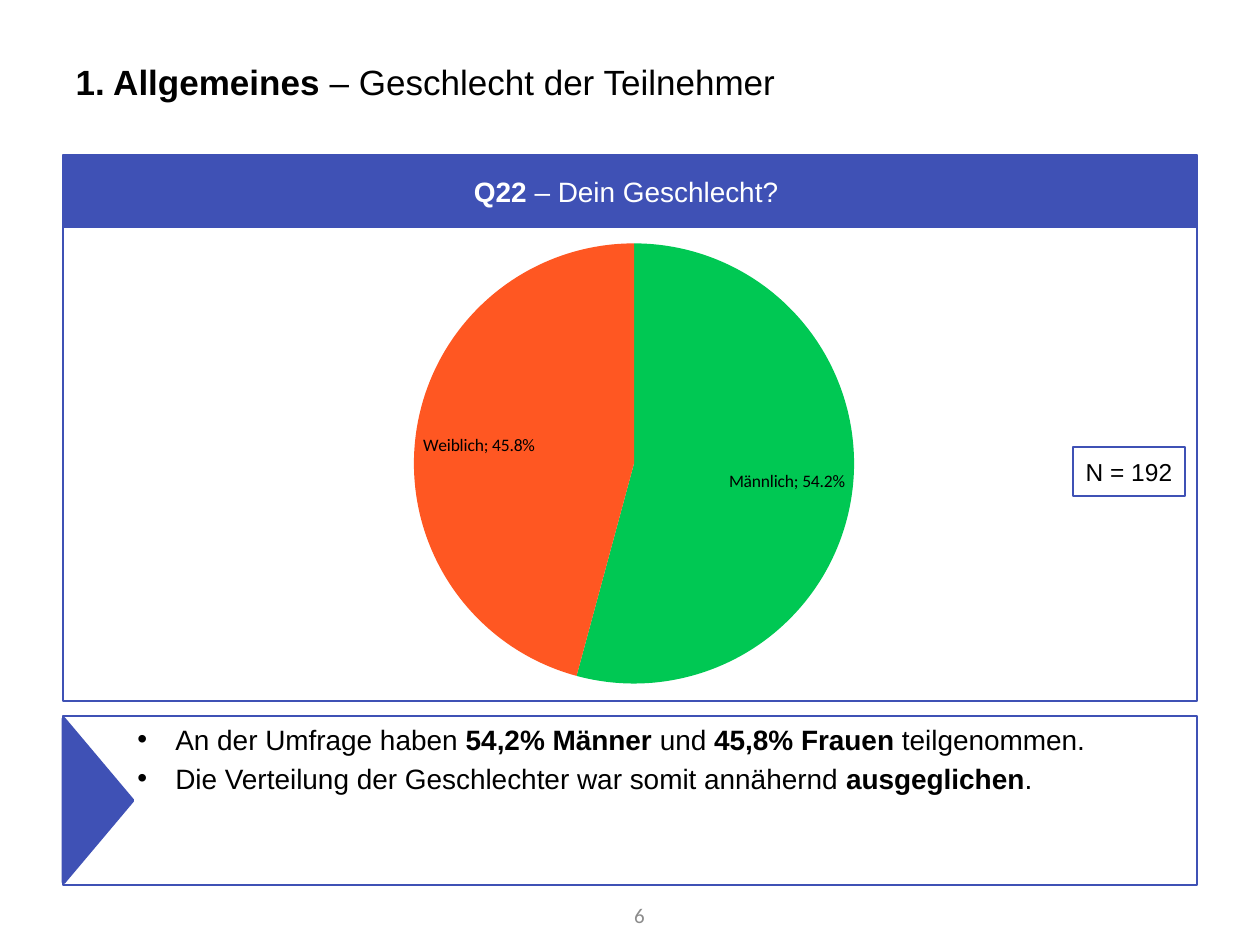
"""Build the survey slide on the gender of the participants."""
from dataclasses import dataclass
from typing import Optional

import lxml.etree
import pptx
import pptx.chart.data
import pptx.dml.color
import pptx.enum.chart
import pptx.enum.shapes
import pptx.enum.text
import pptx.oxml.ns
import pptx.util

EMU_PER_PX = 914400 / 126
BLUE = "3F51B5"
ALIGN = pptx.enum.text.PP_ALIGN
ANCHOR = pptx.enum.text.MSO_ANCHOR
SHAPE = pptx.enum.shapes.MSO_SHAPE


@dataclass(frozen=True)
class Box:
    """Position and size in px."""
    left: int
    top: int
    width: int
    height: int

    def emu(self) -> tuple:
        """Return the four lengths in EMU."""
        return tuple(px(v) for v in (self.left, self.top, self.width, self.height))


@dataclass(frozen=True)
class Panel:
    """A framed shape of the slide."""
    box: Box
    kind: int = SHAPE.RECTANGLE
    fill: Optional[str] = None
    line_width: int = 1
    rotation: int = 0


@dataclass(frozen=True)
class Answer:
    """One answer of the survey question."""
    label: str
    share: float
    color: str


def px(length: int) -> int:
    """Turn px into EMU."""
    return round(length * EMU_PER_PX)


def rgb(code: str) -> pptx.dml.color.RGBColor:
    """Turn a hex string into a colour."""
    return pptx.dml.color.RGBColor.from_string(code)


def add_bullet(paragraph, margin: int, hanging: int) -> None:
    """Give a paragraph a round bullet and a hanging indent."""
    properties = paragraph._p.get_or_add_pPr()
    properties.set("marL", str(px(margin)))
    properties.set("indent", str(-px(hanging)))
    font = lxml.etree.SubElement(properties, pptx.oxml.ns.qn("a:buFont"))
    font.set("typeface", "Arial")
    bullet = lxml.etree.SubElement(properties, pptx.oxml.ns.qn("a:buChar"))
    bullet.set("char", "•")


def write(shape, text: str, *, size: int, color: str = "000000", font: str = "Arial",
          align=ALIGN.LEFT, anchor=ANCHOR.MIDDLE, bullets: bool = False,
          wrap: bool = True) -> None:
    """Write lines of text in which ** switches bold on and off."""
    frame = shape.text_frame
    frame.word_wrap = wrap
    frame.vertical_anchor = anchor
    for index, line in enumerate(text.split("\n")):
        paragraph = frame.paragraphs[0] if index == 0 else frame.add_paragraph()
        paragraph.alignment = align
        if bullets:
            paragraph.space_before = pptx.util.Pt(size * 0.2)
            add_bullet(paragraph, margin=100, hanging=38)
        for part_index, part in enumerate(line.split("**")):
            if part:
                run = paragraph.add_run()
                run.text = part
                run.font.name = font
                run.font.size = pptx.util.Pt(size)
                run.font.bold = part_index % 2 == 1
                run.font.color.rgb = rgb(color)


def add_panel(slide, panel: Panel):
    """Draw a panel with a blue outline."""
    shape = slide.shapes.add_shape(panel.kind, *panel.box.emu())
    shape.shadow.inherit = False
    shape.rotation = panel.rotation
    shape.line.color.rgb = rgb(BLUE)
    shape.line.width = pptx.util.Pt(panel.line_width)
    if panel.fill:
        shape.fill.solid()
        shape.fill.fore_color.rgb = rgb(panel.fill)
    else:
        shape.fill.background()
    return shape


def add_pie(slide, box: Box, answers: list[Answer]) -> None:
    """Draw the answers as a labelled pie."""
    data = pptx.chart.data.CategoryChartData(number_format="0.0%")
    data.categories = [answer.label for answer in answers]
    data.add_series("Series 1", [answer.share for answer in answers])
    chart = slide.shapes.add_chart(
        pptx.enum.chart.XL_CHART_TYPE.PIE, *box.emu(), data).chart
    chart.has_legend = False
    chart.has_title = False
    chart.font.name = "Calibri"
    chart.font.size = pptx.util.Pt(10)
    chart.font.color.rgb = rgb("000000")
    plot = chart.plots[0]
    plot.vary_by_categories = True
    for index, answer in enumerate(answers):
        slice_format = plot.series[0].points[index].format
        slice_format.fill.solid()
        slice_format.fill.fore_color.rgb = rgb(answer.color)
        slice_format.line.fill.background()
    plot.has_data_labels = True
    labels = plot.data_labels
    labels.show_category_name = True
    labels.show_value = True
    labels.show_percentage = False
    labels.number_format = "0.0%"
    labels.number_format_is_linked = False
    labels.position = pptx.enum.chart.XL_LABEL_POSITION.INSIDE_END


def main() -> None:
    """Build and save the slide."""
    deck = pptx.Presentation()
    deck.slide_width, deck.slide_height = px(1260), px(945)
    slide = deck.slides.add_slide(deck.slide_layouts[5])

    title = slide.shapes.title
    title.left, title.top, title.width, title.height = Box(63, 38, 1134, 87).emu()
    write(title, "**1. Allgemeines **– Geschlecht der Teilnehmer", size=20)

    findings = add_panel(slide, Panel(Box(63, 716, 1134, 169)))
    write(findings,
          "An der Umfrage haben **54,2% Männer **und **45,8% Frauen **teilgenommen.\n"
          "Die Verteilung der Geschlechter war somit annähernd **ausgeglichen**.",
          size=16, anchor=ANCHOR.TOP, bullets=True)
    add_panel(slide, Panel(Box(16, 766, 164, 69), SHAPE.ISOSCELES_TRIANGLE,
                           fill=BLUE, line_width=2, rotation=90))

    add_panel(slide, Panel(Box(63, 155, 1134, 546)))
    question = add_panel(slide, Panel(Box(64, 156, 1132, 70), fill=BLUE, line_width=2))
    write(question, "**Q22 **– Dein Geschlecht? ", size=16, color="FFFFFF",
          align=ALIGN.CENTER)
    add_pie(slide, Box(194, 226, 880, 475), [
        Answer("Männlich", 0.542, "00C853"),
        Answer("Weiblich", 0.458, "FF5722"),
    ])
    sample_size = add_panel(slide, Panel(Box(1073, 447, 112, 49)))
    write(sample_size, "N = 192", size=14, align=ALIGN.CENTER, wrap=False)

    page_number = slide.shapes.add_textbox(*Box(578, 890, 79, 50).emu())
    write(page_number, "6", size=12, color="8C8C8C", font="Calibri", align=ALIGN.RIGHT)

    deck.save("out.pptx")


if __name__ == "__main__":
    main()
